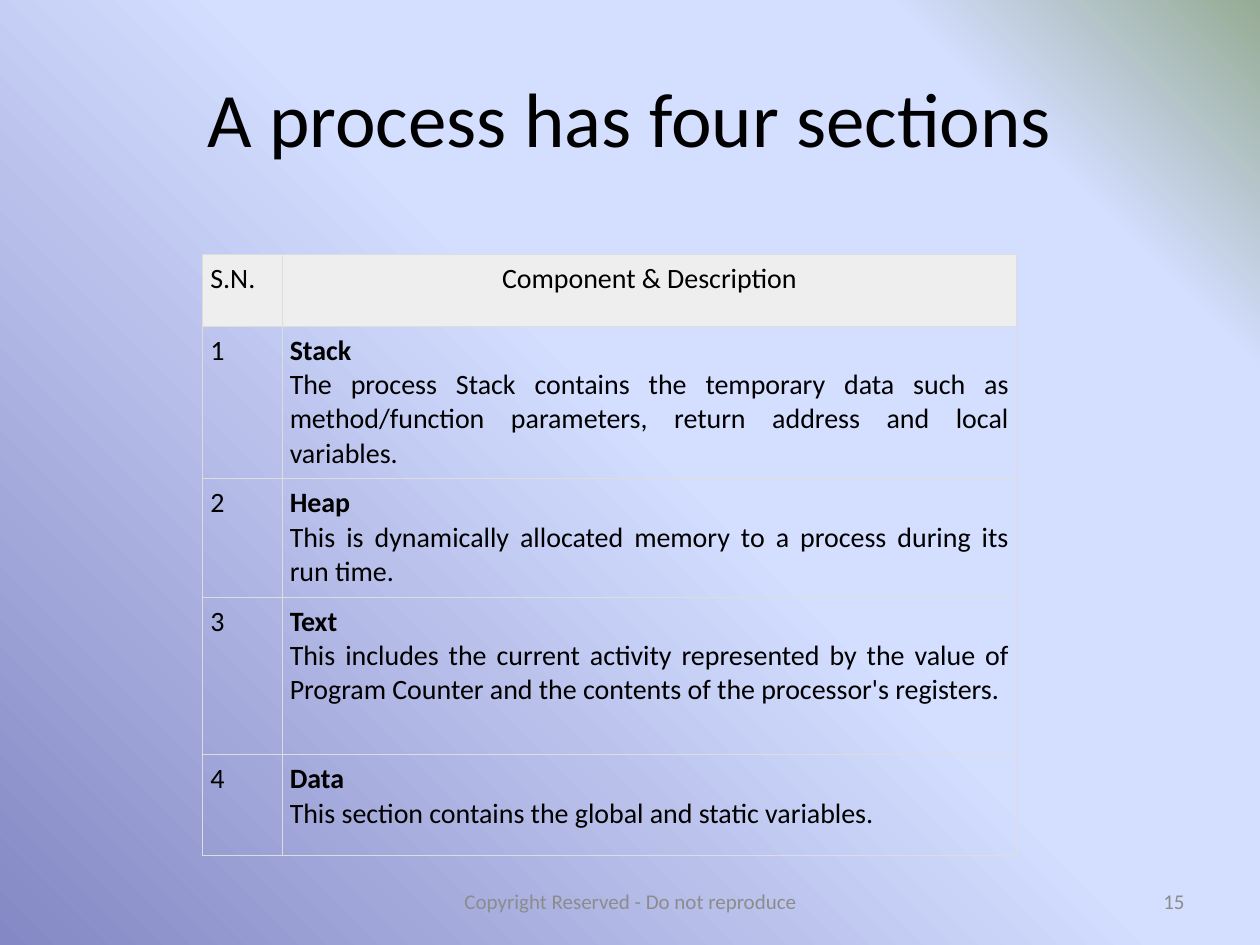
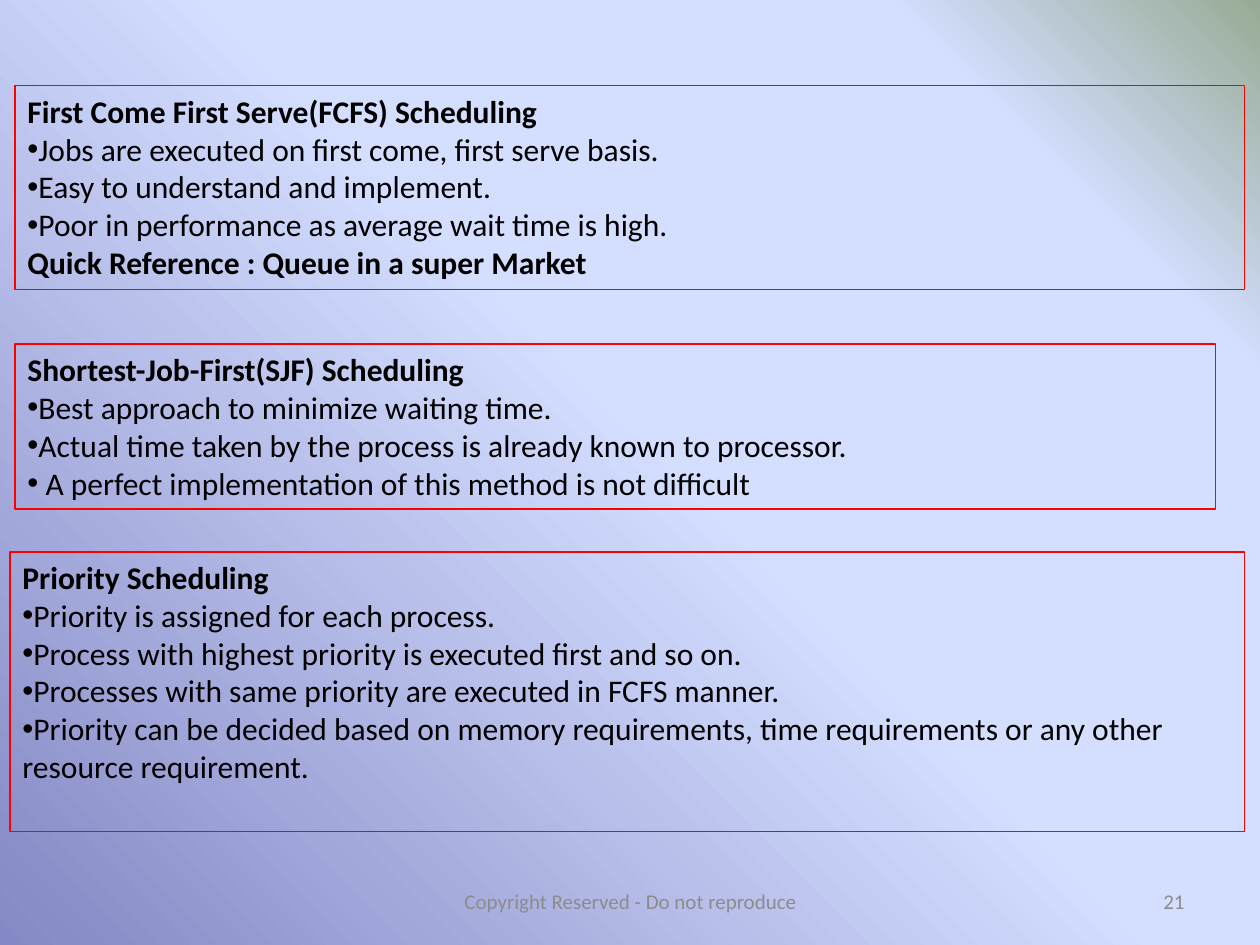
from dataclasses import dataclass
from lxml.etree import SubElement
from pptx import Presentation
from pptx.dml.color import RGBColor as RGB
from pptx.enum.shapes import MSO_SHAPE
from pptx.enum.text import MSO_ANCHOR as ANCHOR, PP_ALIGN as ALIGN
from pptx.oxml.ns import qn
from pptx.util import Inches, Pt


@dataclass(frozen=True)
class Theme:
    font: str = "Calibri"
    text: str = "000000"
    footer: str = "8C8C8C"
    header_fill: str = "EEEEEE"
    grid: str = "DDDDDD"
    frame: str = "FF0000"
    gradient: tuple = ((0, "8488C4"), (53, "D4DEFF"), (83, "D4DEFF"), (100, "96AB94"))
    title_size: int = 44
    box_size: int = 18
    table_size: int = 16
    footer_size: int = 12
    line: float = 0.75


theme = Theme()
FOOTER = "Copyright Reserved - Do not reproduce"


def write(tf, lines, size, color=theme.text, align=ALIGN.LEFT):
    """Fill a text frame with (text, bold, bulleted) lines."""
    tf.word_wrap = True
    for i, (text, bold, bulleted) in enumerate(lines):
        p = tf.paragraphs[0] if i == 0 else tf.add_paragraph()
        p.alignment = align
        if bulleted:
            pPr = p._p.get_or_add_pPr()
            SubElement(pPr, qn("a:buFont"), typeface="Arial")
            SubElement(pPr, qn("a:buChar"), char="•")
        r = p.add_run()
        r.text = text
        for name, value in dict(name=theme.font, size=Pt(size), bold=bold).items():
            setattr(r.font, name, value)
        r.font.color.rgb = RGB.from_string(color)


def add_label(s, at, text, size, color, align):
    tf = s.shapes.add_textbox(*map(Inches, at)).text_frame
    tf.vertical_anchor = ANCHOR.MIDDLE
    write(tf, [(text, False, False)], size, color, align)


prs = Presentation()
prs.slide_width, prs.slide_height = Inches(10), Inches(7.5)

# Shared background and footer
slides = []
for number in ("15", "21"):
    s = prs.slides.add_slide(prs.slide_layouts[6])
    fill = s.background.fill
    fill.gradient()
    fill.gradient_angle = 45
    stops = s.element.find(".//" + qn("a:gsLst"))
    stops.clear()
    for percent, color in theme.gradient:
        stop = SubElement(stops, qn("a:gs"), pos=str(percent * 1000))
        SubElement(stop, qn("a:srgbClr"), val=color)
    add_label(s, (3.42, 6.95, 3.17, 0.4), FOOTER, theme.footer_size, theme.footer, ALIGN.CENTER)
    add_label(s, (7.17, 6.95, 2.33, 0.4), number, theme.footer_size, theme.footer, ALIGN.RIGHT)
    slides.append(s)
sections_slide, scheduling_slide = slides

# Process sections
add_label(sections_slide, (0.5, 0.3, 9, 1.25), "A process has four sections",
          theme.title_size, theme.text, ALIGN.CENTER)
sections = [
    ("Stack", "The process Stack contains the temporary data such as method/function "
              "parameters, return address and local variables."),
    ("Heap", "This is dynamically allocated memory to a process during its run time."),
    ("Text", "This includes the current activity represented by the value of Program "
             "Counter and the contents of the processor's registers."),
    ("Data", "This section contains the global and static variables."),
]
col_widths = (0.63, 5.83)
row_heights = (0.57, 1.21, 0.94, 1.25, 0.8)
table = sections_slide.shapes.add_table(
    len(row_heights), len(col_widths), Inches(1.61), Inches(2.02),
    Inches(sum(col_widths)), Inches(sum(row_heights))).table
table.first_row = table.horz_banding = False
for col, width in zip(table.columns, col_widths):
    col.width = Inches(width)
for row, height in zip(table.rows, row_heights):
    row.height = Inches(height)

for cell in table.iter_cells():
    for side in ("left", "right", "top", "bottom"):
        setattr(cell, f"margin_{side}", Inches(0.06))
    tcPr = cell._tc.get_or_add_tcPr()
    for edge in "LRTB":
        ln = SubElement(tcPr, qn(f"a:ln{edge}"), w=str(Pt(theme.line)))
        SubElement(SubElement(ln, qn("a:solidFill")), qn("a:srgbClr"), val=theme.grid)
    cell.fill.background()

for i, (heading, align) in enumerate((("S.N.", ALIGN.LEFT),
                                      ("Component & Description", ALIGN.CENTER))):
    cell = table.cell(0, i)
    cell.fill.solid()
    cell.fill.fore_color.rgb = RGB.from_string(theme.header_fill)
    write(cell.text_frame, [(heading, False, False)], theme.table_size, align=align)
for i, (name, description) in enumerate(sections, 1):
    write(table.cell(i, 0).text_frame, [(str(i), False, False)], theme.table_size)
    write(table.cell(i, 1).text_frame, [(name, True, False), (description, False, False)],
          theme.table_size, align=ALIGN.JUSTIFY)

# Scheduling methods: place, heading, bullets, closing line
methods = [
    ((0.12, 0.68, 9.76, 1.62), "First Come First Serve(FCFS) Scheduling",
     ["Jobs are executed on first come, first serve basis.",
      "Easy to understand and implement.",
      "Poor in performance as average wait time is high."],
     "Quick Reference : Queue in a super Market"),
    ((0.12, 2.73, 9.53, 1.31), "Shortest-Job-First(SJF) Scheduling",
     ["Best approach to minimize waiting time.",
      "Actual time taken by the process is already known to processor.",
      " A perfect implementation of this method is not difficult"], None),
    ((0.08, 4.38, 9.8, 2.22), "Priority Scheduling",
     ["Priority is assigned for each process.",
      "Process with highest priority is executed first and so on.",
      "Processes with same priority are executed in FCFS manner.",
      "Priority can be decided based on memory requirements, time requirements "
      "or any other resource requirement."], None),
]
for at, heading, bullets, closing in methods:
    sp = scheduling_slide.shapes.add_shape(MSO_SHAPE.RECTANGLE, *map(Inches, at))
    sp.shadow.inherit = False
    sp.fill.background()
    sp.line.color.rgb = RGB.from_string(theme.frame)
    sp.line.width = Pt(theme.line)
    sp.text_frame.vertical_anchor = ANCHOR.TOP
    lines = [(heading, True, False)] + [(text, False, True) for text in bullets]
    if closing:
        lines.append((closing, True, False))
    write(sp.text_frame, lines, theme.box_size)

prs.save("out.pptx")
